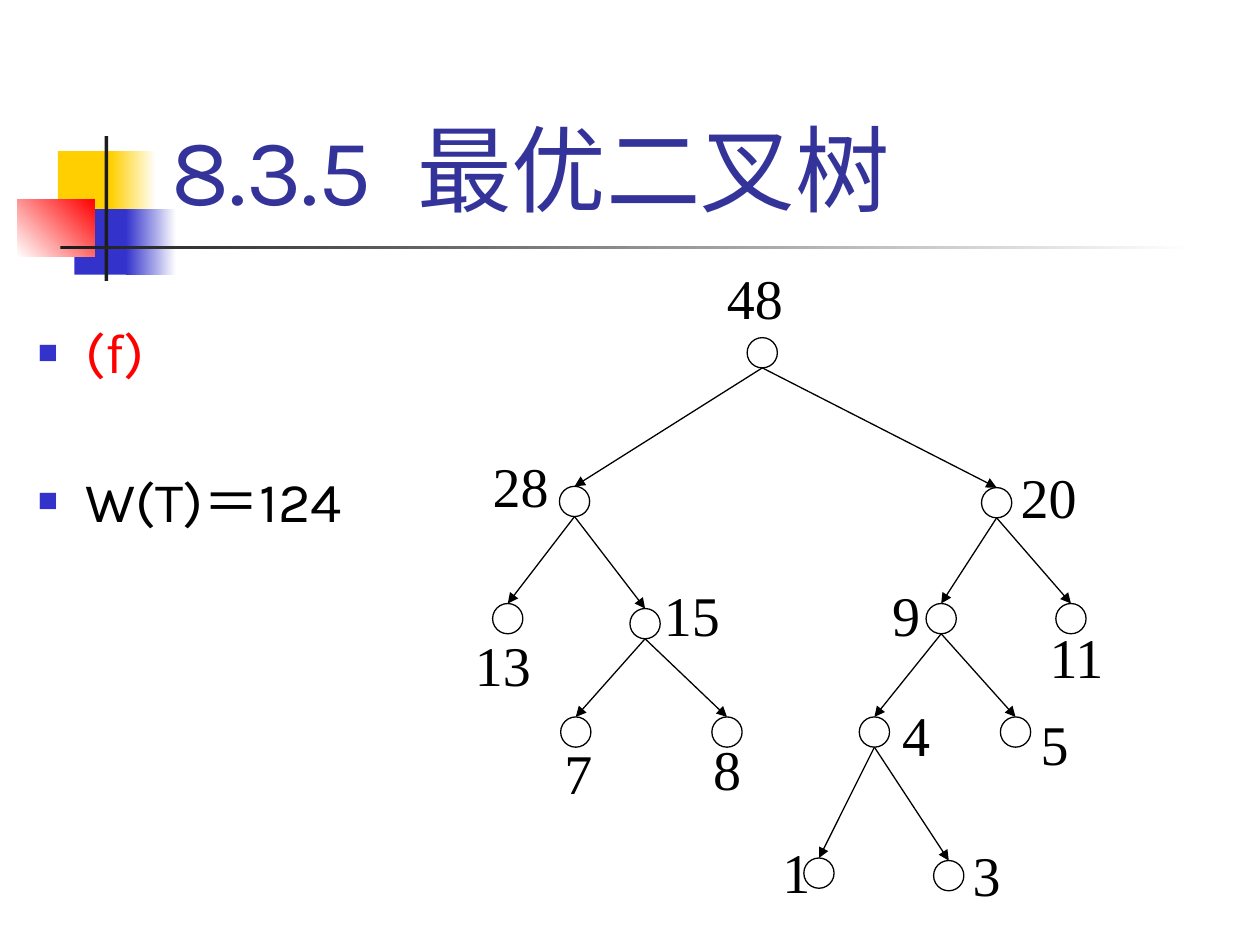
from lxml import etree
from pptx import Presentation
from pptx.dml.color import RGBColor
from pptx.enum.shapes import MSO_CONNECTOR as CONN, MSO_SHAPE as SHAPE
from pptx.enum.text import MSO_ANCHOR as ANCHOR, MSO_AUTO_SIZE as AUTOSIZE, PP_ALIGN as ALIGN
from pptx.oxml.ns import qn
from pptx.util import Inches, Pt

NODE_SIZE = 0.24
LABEL_SIZE = 0.87, 0.85
# Weight: (node centre x, node top, label left, label top), inside the tree box
NODES = {
    48: (2.39, 0.65, 2.00, 0.00),
    28: (0.90, 1.83, 0.14, 1.49),
    20: (4.25, 1.84, 4.33, 1.58),
    13: (0.37, 2.76, 0.00, 2.91),
    15: (1.46, 2.80, 1.50, 2.52),
    9: (3.81, 2.76, 3.31, 2.52),
    11: (4.84, 2.76, 4.56, 2.85),
    7: (0.91, 3.66, 0.71, 3.77),
    8: (2.11, 3.66, 1.89, 3.74),
    4: (3.28, 3.66, 3.39, 3.47),
    5: (4.40, 3.66, 4.49, 3.54),
    1: (2.84, 4.78, 2.44, 4.56),
    3: (3.87, 4.80, 3.95, 4.58),
}
CHILDREN = {48: (28, 20), 28: (13, 15), 20: (9, 11), 15: (7, 8), 9: (4, 5), 4: (1, 3)}


def rgb(hex_color):
    return RGBColor.from_string(hex_color)


def set_font(font, color, **values):
    for name, value in values.items():
        setattr(font, name, value)
    font.color.rgb = rgb(color)


def add_box(shapes, kind, x, y, w, h, fill, line=None):
    sp = shapes.add_shape(kind, Inches(x), Inches(y), Inches(w), Inches(h))
    sp.shadow.inherit = False
    if isinstance(fill, tuple):
        start, end, angle = fill
        sp.fill.gradient()
        sp.fill.gradient_angle = angle
        for stop, color in zip(sp.fill.gradient_stops, (start, end)):
            stop.color.rgb = rgb(color)
    else:
        sp.fill.solid()
        sp.fill.fore_color.rgb = rgb(fill)
    if line:
        sp.line.color.rgb = rgb(line)
        sp.line.width = Pt(0.75)
    else:
        sp.line.fill.background()
    return sp


def place(sp, x, y, w, h):
    for name, value in dict(left=x, top=y, width=w, height=h).items():
        setattr(sp, name, Inches(value))


def add_ornament(slide, left, top):
    parts = [
        (0.32, 0.12, 0.48, 0.52, "FFCF01"),
        (0.74, 0.12, 0.36, 0.52, ("FFCF01", "FFFFFF", 0)),
        (0.45, 0.58, 0.46, 0.52, "3333CC"),
        (0.86, 0.58, 0.40, 0.52, ("3333CC", "FFFFFF", 0)),
        (0.00, 0.50, 0.61, 0.46, ("FFFFFF", "FF0000", 45)),
        (0.69, 0.00, 0.03, 1.15, "1C1C1C"),
        (0.34, 0.87, 9.00, 0.03, ("1C1C1C", "FFFFFF", 0)),
    ]
    for x, y, w, h, fill in parts:
        add_box(slide.shapes, SHAPE.RECTANGLE, left + x, top + y, w, h, fill)


def fill_title(slide, *box):
    title = slide.shapes.title
    place(title, *box)
    tf = title.text_frame
    tf.auto_size = AUTOSIZE.NONE
    tf.vertical_anchor = ANCHOR.BOTTOM
    p = tf.paragraphs[0]
    p.alignment = ALIGN.LEFT
    r = p.add_run()
    r.text = "8.3.5  最优二叉树"
    set_font(r.font, "333399", name="Karla", size=Pt(54))


def add_bullet(p):
    pPr = p._p.get_or_add_pPr()
    pPr.set("marL", str(Inches(0.38)))
    pPr.set("indent", str(-Inches(0.38)))
    color = etree.SubElement(pPr, qn("a:buClr"))
    etree.SubElement(color, qn("a:srgbClr"), val="3333CC")
    etree.SubElement(pPr, qn("a:buSzPct"), val="60000")
    etree.SubElement(pPr, qn("a:buChar"), char="■")


def fill_body(slide, *box):
    body = slide.placeholders[1]
    place(body, *box)
    tf = body.text_frame
    tf.auto_size = AUTOSIZE.NONE
    for i, (text, color) in enumerate([("(f)", "FF0000"), ("W(T)＝124", "000000")]):
        p = tf.add_paragraph() if i else tf.paragraphs[0]
        add_bullet(p)
        p.line_spacing = 2.0
        p.space_before = Pt(8 if i else 0)
        r = p.add_run()
        r.text = text
        set_font(r.font, color, name="Karla", size=Pt(32))


def add_label(shapes, text, x, y):
    sp = add_box(shapes, SHAPE.RECTANGLE, x, y, *LABEL_SIZE, "FFFFFF", "FFFFFF")
    tf = sp.text_frame
    margins = dict(margin_left=0.11, margin_right=0.11, margin_top=0.06, margin_bottom=0.06)
    for name, value in margins.items():
        setattr(tf, name, Inches(value))
    tf.word_wrap = True
    tf.vertical_anchor = ANCHOR.TOP
    p = tf.paragraphs[0]
    p.alignment = ALIGN.LEFT
    r = p.add_run()
    r.text = text
    set_font(r.font, "000000", name="Times New Roman", size=Pt(32))


def add_arrow(shapes, x1, y1, x2, y2):
    arrow = shapes.add_connector(CONN.STRAIGHT, Inches(x1), Inches(y1), Inches(x2), Inches(y2))
    arrow.line.color.rgb = rgb("000000")
    arrow.line.width = Pt(0.75)
    etree.SubElement(arrow.line._get_or_add_ln(), qn("a:tailEnd"), type="triangle")
    etree.SubElement(arrow._element.spPr, qn("a:effectLst"))


def add_tree(slide, left, top):
    shapes = slide.shapes.add_group_shape().shapes
    # Labels lie behind the nodes and arrows
    for weight, (_, _, x, y) in NODES.items():
        add_label(shapes, str(weight), left + x, top + y)
    for cx, y, _, _ in NODES.values():
        add_box(shapes, SHAPE.OVAL, left + cx - NODE_SIZE / 2, top + y,
                NODE_SIZE, NODE_SIZE, "FFFFFF", "000000")
    # Arrows run from the bottom of a parent to the top of a child
    for parent, children in CHILDREN.items():
        x1, y1 = NODES[parent][:2]
        for child in children:
            x2, y2 = NODES[child][:2]
            add_arrow(shapes, left + x1, top + y1 + NODE_SIZE, left + x2, top + y2)


def main():
    prs = Presentation()
    prs.slide_width, prs.slide_height = Inches(10), Inches(7.5)
    slide = prs.slides.add_slide(prs.slide_layouts[1])
    add_ornament(slide, 0.14, 1.08)
    fill_title(slide, 1.26, 0.23, 8.52, 1.6)
    fill_body(slide, 0.2, 1.94, 9.8, 5.56)
    add_tree(slide, 3.66, 2.03)
    prs.save("out.pptx")


if __name__ == "__main__":
    main()
